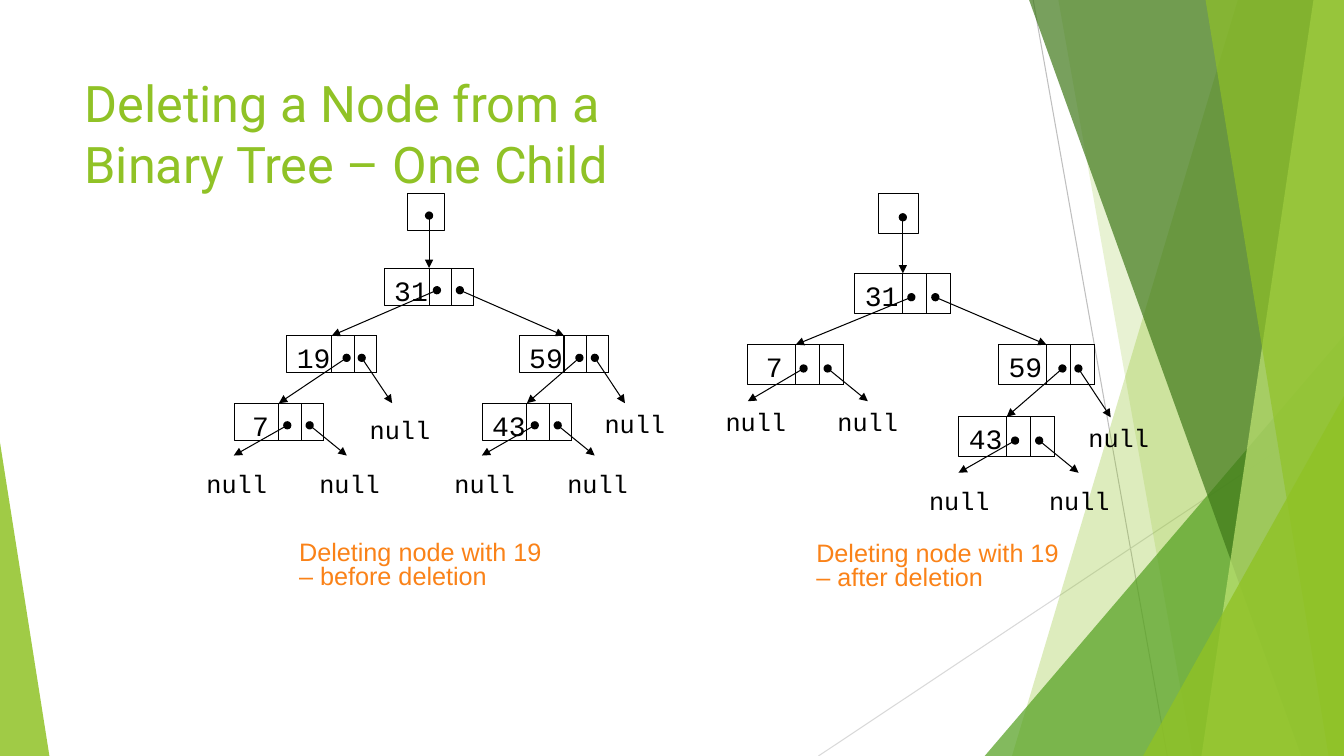
import pptx
import pptx.util
import pptx.dml.color
import pptx.enum.shapes
import pptx.enum.text
import pptx.oxml
import pptx.oxml.ns
from lxml import etree

Pt = pptx.util.Pt
RGB = pptx.dml.color.RGBColor
SHAPE = pptx.enum.shapes.MSO_SHAPE
LINK = pptx.enum.shapes.MSO_CONNECTOR.STRAIGHT
FIT = pptx.enum.text.MSO_AUTO_SIZE
qn = pptx.oxml.ns.qn

GREEN = RGB(0x90, 0xC2, 0x26)
LEAF = RGB(0x54, 0xA0, 0x21)
DARK = RGB(0x3F, 0x78, 0x19)
LIME = RGB(0xC0, 0xE4, 0x74)
ORANGE = RGB(0xFA, 0x82, 0x18)
BLACK = RGB(0, 0, 0)
GREY = RGB(0xBF, 0xBF, 0xBF)
PALE = RGB(0xD9, 0xD9, 0xD9)

WIDE, HIGH = 960, 540

# Content
TITLE = "Deleting a Node from a \vBinary Tree – One Child"

# Backdrop: hairlines as x1, y1, x2, y2, colour
HAIRS = [(738, 0, 833.8, HIGH, GREY), (WIDE, 290.2, 584.6, HIGH, PALE)]
# Bands run to the right edge: top x, bottom x, colour, opacity
# Wedges: left, top, width, peak (0 left, 1 right), colour, opacity
FACETS = [
    ("band", (884.2, 722.9), GREEN, 30),
    ("band", (756, 851.8), GREEN, 20),
    ("wedge", (703.4, 239.8, 256.6, 1), LEAF, 72),
    ("band", (735.1, 929.5), DARK, 70),
    ("band", (938.2, 858.2), LIME, 70),
    ("band", (861.1, 949), GREEN, 65),
    ("wedge", (816.5, 283, 143.5, 1), GREEN, 80),
    ("wedge", (0, 316.1, 35.3, 0), GREEN, 85),
]

# Nodes: key -> left, top, left dot, right dot (dots relative to node)
# Links: parent key, side, child key
# Nulls: parent key, side, arrow tip x, y, word left, top
TREES = [
    dict(
        size=(64, 26.6), cell=16, drop=15.8, root=(290.9, 138.2), top="31",
        nodes={
            "31": (274.5, 191.5, 37.6, 54), "59": (370.9, 239.8, 43, 54),
            "19": (205, 239.8, 42.6, 53.4), "7": (167.2, 288, 38, 54),
            "43": (344.4, 288, 37.6, 54),
        },
        links=[("31", 0, "19"), ("31", 1, "59"), ("19", 0, "7"),
               ("59", 0, "43")],
        nulls=[
            ("19", 1, 280.1, 288, 257, 292.3),
            ("59", 1, 446.4, 288, 424.8, 288),
            ("7", 0, 167, 325.4, 140.4, 331.2),
            ("7", 1, 247.7, 325.4, 221, 331.2),
            ("43", 0, 344.2, 325.4, 317.5, 331.2),
            ("43", 1, 424.8, 325.4, 398.2, 331.2),
        ],
        note=(206.6, 383.8, "Deleting node with 19 – before deletion"),
    ),
    dict(
        size=(68.4, 28.6), cell=17.1, drop=17, root=(627.8, 138.2), top="31",
        nodes={
            "31": (610.7, 195.3, 40.3, 57.4), "59": (713.3, 246.2, 45.6, 57),
            "7": (534.2, 246.2, 39.8, 57), "43": (684.9, 297.7, 40.2, 57.4),
        },
        links=[("31", 0, "7"), ("31", 1, "59"), ("59", 0, "43")],
        nulls=[
            ("59", 1, 793.4, 298.1, 770.4, 298.1),
            ("7", 0, 534.2, 286.6, 511.2, 286.6),
            ("7", 1, 619.9, 286.6, 591.1, 286.6),
            ("43", 0, 684.7, 337.7, 656.6, 343.4),
            ("43", 1, 770.4, 337.7, 742.3, 343.4),
        ],
        note=(576, 384.5, "Deleting node with 19 – after deletion"),
    ),
]

deck = pptx.Presentation()
deck.slide_width, deck.slide_height = Pt(WIDE), Pt(HIGH)
slide = deck.slides.add_slide(deck.slide_layouts[6])
shapes = slide.shapes


# Helpers
def add_line(x1, y1, x2, y2, color=BLACK, arrow=False):
    line = shapes.add_connector(LINK, Pt(x1), Pt(y1), Pt(x2), Pt(y2))
    line.line.color.rgb = color
    line.line.width = Pt(0.75)
    if arrow:
        ln = line.line._get_or_add_ln()
        for tag, kind in (("a:headEnd", "oval"), ("a:tailEnd", "triangle")):
            etree.SubElement(ln, qn(tag), type=kind)
    etree.SubElement(line._element.spPr, qn("a:effectLst"))
    return line


def add_box(x, y, w, h):
    box = shapes.add_shape(SHAPE.RECTANGLE, Pt(x), Pt(y), Pt(w), Pt(h))
    box.shadow.inherit = False
    box.fill.background()
    box.line.color.rgb = BLACK
    box.line.width = Pt(0.75)
    return box


def add_text(x, y, w, h, text, size, font, color, wrap=True, fit=True):
    frame = shapes.add_textbox(Pt(x), Pt(y), Pt(w), Pt(h)).text_frame
    frame.word_wrap = wrap
    frame.auto_size = FIT.SHAPE_TO_FIT_TEXT if fit else FIT.NONE
    frame.text = text
    for run in frame.paragraphs[0].runs:
        run.font.size = Pt(size)
        run.font.name = font
        run.font.color.rgb = color
    return frame


def add_code(x, y, text, size):
    width = 14.4 + 0.6 * size * len(text)
    add_text(x, y, width, 1.13 * size + 8, text, size, "Courier New", BLACK,
             wrap=False)


def add_facet(kind, geo, color, alpha):
    if kind == "band":
        top, base = geo
        path = shapes.build_freeform(Pt(top), 0)
        path.add_line_segments([(Pt(WIDE), 0), (Pt(WIDE), Pt(HIGH)),
                                (Pt(base), Pt(HIGH))])
        facet = path.convert_to_shape()
    else:
        x, y, w, peak = geo
        facet = shapes.add_shape(SHAPE.ISOSCELES_TRIANGLE, Pt(x), Pt(y),
                                 Pt(w), Pt(HIGH - y))
        facet.adjustments[0] = peak
    facet.shadow.inherit = False
    facet.line.fill.background()
    facet.fill.solid()
    facet.fill.fore_color.rgb = color
    tint = facet._element.spPr.find(".//" + qn("a:srgbClr"))
    etree.SubElement(tint, qn("a:alpha"), val=str(alpha * 1000))


def draw_tree(tree):
    nodes, cell, drop = tree["nodes"], tree["cell"], tree["drop"]
    w, h = tree["size"]

    # Root box, then nodes with two pointer cells each
    add_box(*tree["root"], h, h)
    boxes = {}
    for key, (x, y, *dots) in nodes.items():
        boxes[key] = add_box(x, y, w, h)
        for step in (1, 2):
            add_box(x + w - step * cell, y, cell, h)

    # Pointers
    x, y = nodes[tree["top"]][:2]
    mid = x + w / 2
    line = add_line(mid, tree["root"][1] + drop, mid, y, arrow=True)
    line.end_connect(boxes[tree["top"]], 0)
    for key, side, child in tree["links"]:
        x, y, *dots = nodes[key]
        cx, cy = nodes[child][:2]
        line = add_line(x + dots[side], y + drop, cx + w / 2, cy, arrow=True)
        line.end_connect(boxes[child], 0)
    for key, side, tx, ty, left, top in tree["nulls"]:
        x, y, *dots = nodes[key]
        add_line(x + dots[side], y + drop, tx, ty, arrow=True)
        add_code(left, top, "null", 18)

    # Keys and caption
    for key, (x, y, *dots) in nodes.items():
        add_code(x + (5.8 if len(key) == 1 else 0), y, key, 20)
    x, y, text = tree["note"]
    note = add_text(x, y, 199.4, 42.5, text, 18, "Arial", ORANGE)
    note.paragraphs[0].line_spacing = 0.8


# Slide
for hair in HAIRS:
    add_line(*hair)
for facet in FACETS:
    add_facet(*facet)
add_text(53.3, 48.2, 676.8, 103.7, TITLE, 36, "Roboto", GREEN, fit=False)
for tree in TREES:
    draw_tree(tree)

deck.save("out.pptx")
